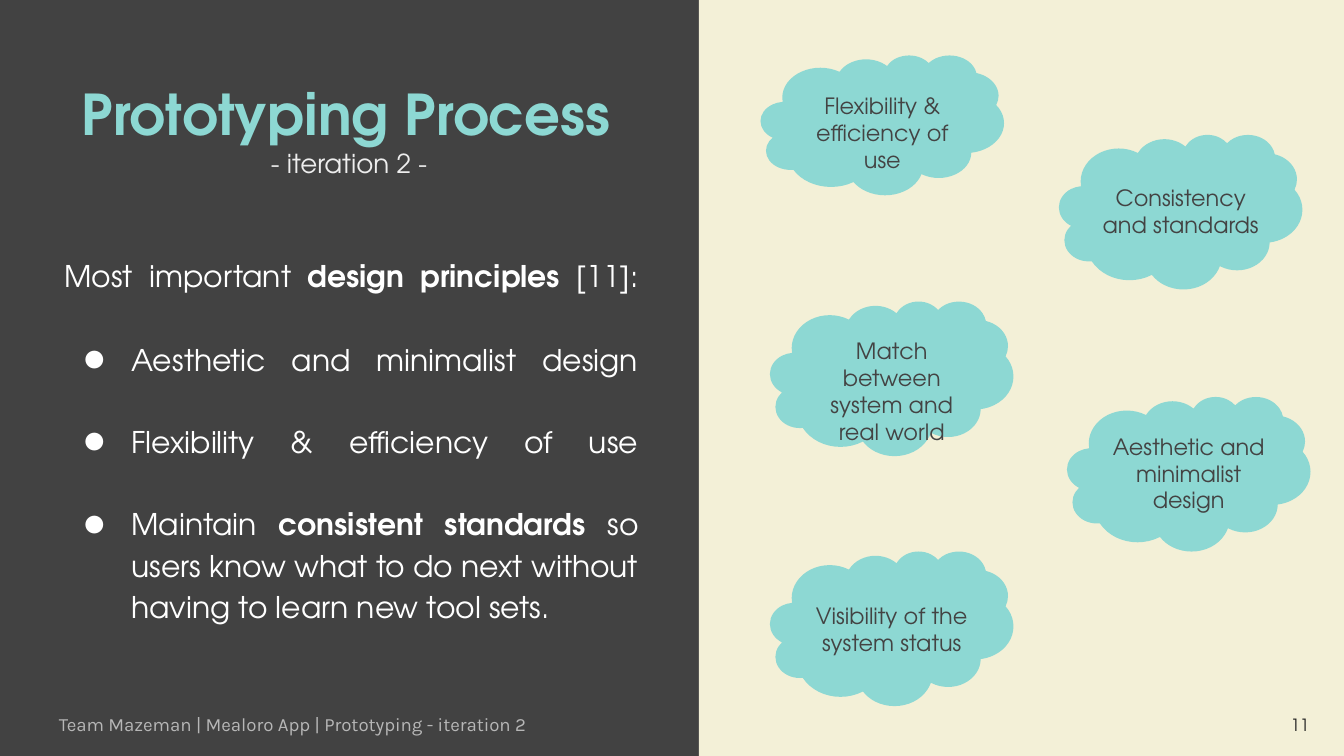
from dataclasses import dataclass

from lxml.etree import SubElement
from pptx import Presentation
from pptx.dml.color import RGBColor
from pptx.enum.shapes import MSO_SHAPE
from pptx.enum.text import MSO_ANCHOR, PP_ALIGN
from pptx.oxml.ns import qn
from pptx.util import Inches, Pt


@dataclass(frozen=True)
class Theme:
    dark: str = "424242"
    cream: str = "F3F0D7"
    teal: str = "8DD8D3"
    white: str = "FFFFFF"
    subtitle_grey: str = "EEEEEE"
    footer_grey: str = "B7B7B7"
    number_ink: str = "1E1E1E"
    cloud_ink: str = "434343"
    main_font: str = "TeX Gyre Adventor"
    footer_font: str = "Karla"
    title_size: float = 30.1
    subtitle_size: float = 14
    body_size: int = 16
    cloud_size: float = 12
    footer_size: float = 10
    number_size: float = 9


THEME = Theme()
SLIDE_WIDTH = 10
SLIDE_HEIGHT = SLIDE_WIDTH * 9 / 16
CLOUD_WIDTH = 1.81
LABEL_WIDTH = 1.39

# Label, cloud left, top and height, label height, downward shift of the label
CLOUDS = [
    ("Visibility of the system status", 5.73, 4.1, 1.15, 0.61, 0.01),
    ("Match between system and real world", 5.73, 2.24, 1.15, 0.81, 0),
    ("Consistency and standards", 7.88, 1, 1.15, 0.61, 0),
    ("Flexibility & efficiency of use", 5.66, 0.41, 1.04, 0.81, 0.06),
    ("Aesthetic and minimalist design", 7.94, 2.95, 1.15, 0.81, 0),
]

# Each paragraph is a list of (text, bold) runs
INTRO = [("Most important ", False), ("design principles", True), (" [11]:", False)]
PRINCIPLES = [
    [("Aesthetic and minimalist design", False)],
    [("Flexibility & efficiency of use", False)],
    [("Maintain ", False), ("consistent standards", True),
     (" so users know what to do next without having to learn new tool sets.", False)],
]


def style(paragraph, size, color, align=PP_ALIGN.LEFT, font=THEME.main_font):
    paragraph.alignment = align
    paragraph.font.size = Pt(size)
    paragraph.font.name = font
    paragraph.font.color.rgb = RGBColor.from_string(color)


def add_frame(shapes, left, top, width, height):
    box = shapes.add_textbox(Inches(left), Inches(top), Inches(width), Inches(height))
    frame = box.text_frame
    frame.word_wrap = True
    frame.margin_left = frame.margin_right = Inches(0.1)
    frame.margin_top = frame.margin_bottom = Inches(0.1)
    return frame


def add_label(shapes, place, text, size, color, **options):
    frame = add_frame(shapes, *place)
    paragraph = frame.paragraphs[0]
    paragraph.text = text
    style(paragraph, size, color, **options)
    return frame


def add_filled(shapes, kind, place, color):
    shape = shapes.add_shape(kind, *(Inches(length) for length in place))
    shape.shadow.inherit = False
    shape.fill.solid()
    shape.fill.fore_color.rgb = RGBColor.from_string(color)
    shape.line.fill.background()


def add_cloud(slide, text, left, top, height, label_height, shift):
    cloud = slide.shapes.add_group_shape().shapes
    add_filled(cloud, MSO_SHAPE.CLOUD, (left, top, CLOUD_WIDTH, height), THEME.teal)
    label_left = left + (CLOUD_WIDTH - LABEL_WIDTH) / 2
    label_top = top + (height - label_height) / 2 + shift
    add_label(cloud, (label_left, label_top, LABEL_WIDTH, label_height), text,
              THEME.cloud_size, THEME.cloud_ink, align=PP_ALIGN.CENTER)


def add_bullet(paragraph):
    properties = paragraph._p.get_or_add_pPr()
    properties.set("marL", str(Inches(0.5)))
    properties.set("indent", str(Inches(-0.36)))
    bullet_color = SubElement(properties, qn("a:buClr"))
    SubElement(bullet_color, qn("a:srgbClr")).set("val", THEME.white)
    SubElement(properties, qn("a:buSzPts")).set("val", str(THEME.body_size * 100))
    SubElement(properties, qn("a:buFont")).set("typeface", THEME.main_font)
    SubElement(properties, qn("a:buChar")).set("char", "●")


def add_closing_break(paragraph):
    """A final line break stretches the justified line to the full width."""
    paragraph.add_line_break()
    line_break = paragraph._p.findall(qn("a:br"))[-1]
    for parent, tag in ((line_break, "a:rPr"), (paragraph._p, "a:endParaRPr")):
        mark = SubElement(parent, qn(tag))
        mark.set("sz", str(THEME.body_size * 100))
        SubElement(mark, qn("a:latin")).set("typeface", THEME.main_font)


def fill_paragraph(paragraph, runs, bulleted, stretched):
    if bulleted:
        add_bullet(paragraph)
    for text, bold in runs:
        run = paragraph.add_run()
        run.text = text
        run.font.bold = bold
    style(paragraph, THEME.body_size, THEME.white, align=PP_ALIGN.JUSTIFY)
    paragraph.line_spacing = 1.15
    if stretched:
        add_closing_break(paragraph)


def add_principles(slide):
    frame = add_frame(slide.shapes, 0.38, 1.78, 4.47, 2.98)
    fill_paragraph(frame.paragraphs[0], INTRO, bulleted=False, stretched=True)
    for runs in PRINCIPLES:
        fill_paragraph(frame.add_paragraph(), runs, bulleted=True,
                       stretched=runs is not PRINCIPLES[-1])
    frame.paragraphs[1].space_before = Pt(3.5)


def main():
    deck = Presentation()
    deck.slide_width, deck.slide_height = Inches(SLIDE_WIDTH), Inches(SLIDE_HEIGHT)
    slide = deck.slides.add_slide(deck.slide_layouts[6])

    # Dark background with the cream panel
    slide.background.fill.solid()
    slide.background.fill.fore_color.rgb = RGBColor.from_string(THEME.dark)
    add_filled(slide.shapes, MSO_SHAPE.RECTANGLE, (5.2, 0, 4.8, SLIDE_HEIGHT), THEME.cream)

    # Page number and footer
    number = add_label(slide.shapes, (9.24, 5.18, 0.6, 0.43), "11", THEME.number_size,
                       THEME.number_ink, align=PP_ALIGN.RIGHT)
    number.vertical_anchor = MSO_ANCHOR.MIDDLE
    add_label(slide.shapes, (0.34, 5.22, 9.1, 0.37),
              "Team Mazeman | Mealoro App | Prototyping - iteration 2",
              THEME.footer_size, THEME.footer_grey, font=THEME.footer_font)

    # Heading
    title = add_label(slide.shapes, (0.51, 0.49, 4.23, 0.89), "Prototyping Process",
                      THEME.title_size, THEME.teal)
    title.paragraphs[0].font.bold = True
    add_label(slide.shapes, (0.51, 1, 4.23, 0.44), "- iteration 2 - ",
              THEME.subtitle_size, THEME.subtitle_grey, align=PP_ALIGN.CENTER)

    # Design principles and their clouds
    add_principles(slide)
    for cloud in CLOUDS:
        add_cloud(slide, *cloud)

    deck.save("out.pptx")


if __name__ == "__main__":
    main()
